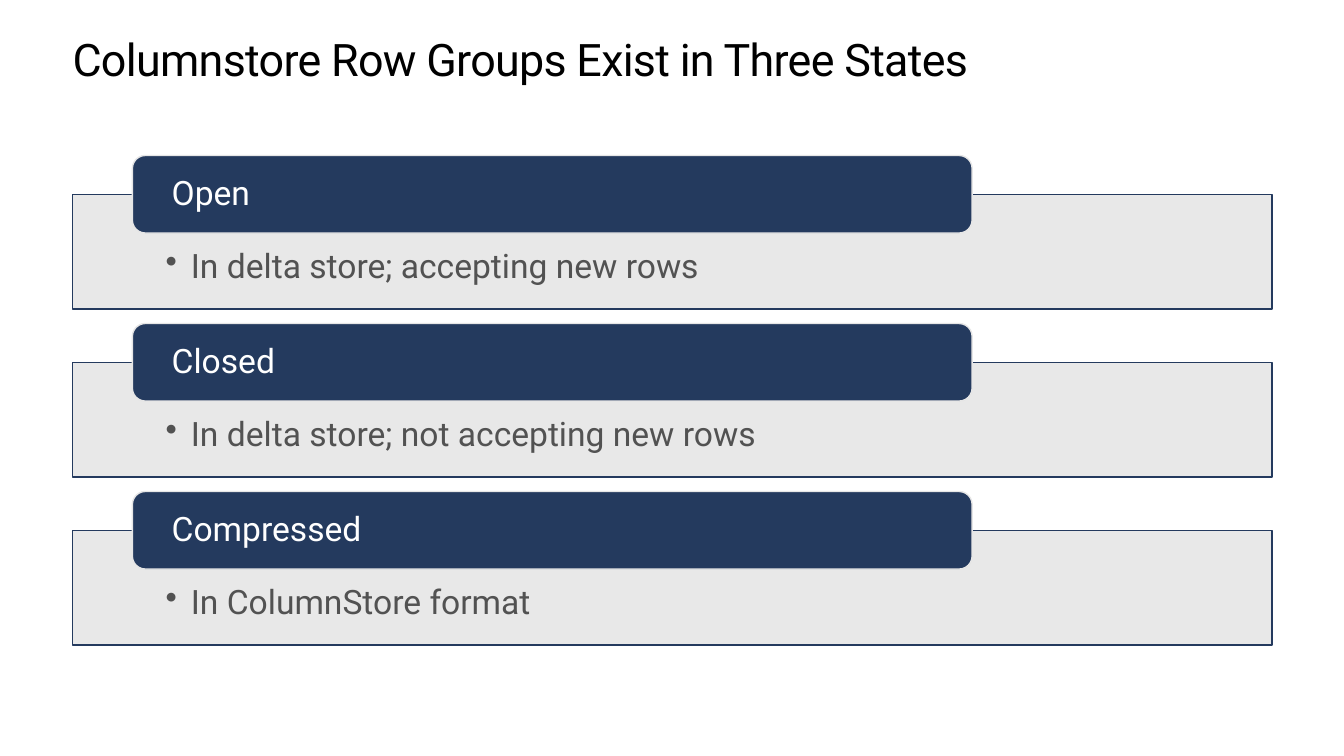
from lxml import etree
from pptx import Presentation
from pptx.dml.color import RGBColor
from pptx.enum.shapes import MSO_SHAPE
from pptx.enum.text import MSO_ANCHOR, PP_ALIGN
from pptx.oxml.ns import qn
from pptx.util import Pt

RECTANGLE, ROUNDED = MSO_SHAPE.RECTANGLE, MSO_SHAPE.ROUNDED_RECTANGLE
TOP, MIDDLE, LEFT = MSO_ANCHOR.TOP, MSO_ANCHOR.MIDDLE, PP_ALIGN.LEFT

NAVY = RGBColor(0x24, 0x3A, 0x5E)
LIGHT_GRAY = RGBColor(0xE6, 0xE6, 0xE6)
DARK_GRAY = RGBColor(0x52, 0x52, 0x52)
BLACK = RGBColor(0, 0, 0)
WHITE = RGBColor(255, 255, 255)

MARGIN, CONTENT_WIDTH = 51.84, 856.8
FIRST_PANEL_TOP, STATE_PITCH = 138.9, 120

STATES = [
    ("Open", "In delta store; accepting new rows"),
    ("Closed", "In delta store; not accepting new rows"),
    ("Compressed", "In ColumnStore format"),
]


class SlideBuilder:
    """Holds the text style and the slide being filled."""

    font_name = "Roboto"

    def __init__(self, slide):
        self.slide = slide

    def set_text(self, shape, text, size, color, insets, anchor, spacing):
        frame = shape.text_frame
        frame.word_wrap = True
        frame.vertical_anchor = anchor
        (frame.margin_left, frame.margin_top,
         frame.margin_right, frame.margin_bottom) = map(Pt, insets)
        paragraph = frame.paragraphs[0]
        paragraph.text = text
        paragraph.alignment = LEFT
        paragraph.line_spacing = spacing
        paragraph.font.name = self.font_name
        paragraph.font.size = Pt(size)
        paragraph.font.color.rgb = color
        return paragraph._p.get_or_add_pPr()

    def box(self, kind, bounds, fill, line):
        shape = self.slide.shapes.add_shape(kind, *map(Pt, bounds))
        shape.shadow.inherit = False
        shape.fill.solid()
        shape.fill.fore_color.rgb = fill
        shape.line.color.rgb = line
        shape.line.width = Pt(1)
        return shape

    def title(self, text):
        shape = self.slide.shapes.add_textbox(
            *map(Pt, (MARGIN, 25.2, CONTENT_WIDTH, 36)))
        properties = self.set_text(shape, text, 32, BLACK, (0, 0, 0, 0), TOP, Pt(36.2))
        properties.find(qn("a:defRPr")).set("spc", "-50")

    def panel(self, top, text):
        shape = self.box(RECTANGLE, (MARGIN, top, CONTENT_WIDTH, 81.9),
                         LIGHT_GRAY, NAVY)
        color = shape._element.spPr.find(qn("a:solidFill"))[0]
        etree.SubElement(color, qn("a:alpha"), val="90000")
        properties = self.set_text(shape, text, 24, DARK_GRAY,
                                   (66.5, 39.4, 66.5, 13.7), TOP, 0.9)
        # Hanging bullet
        properties.set("marL", str(Pt(18)))
        properties.set("indent", str(Pt(-18)))
        bullet = etree.Element(qn("a:buChar"), char="•")
        properties.find(qn("a:defRPr")).addprevious(bullet)

    def header(self, top, text):
        shape = self.box(ROUNDED, (94.6, top, 599.8, 55.4), NAVY, LIGHT_GRAY)
        self.set_text(shape, text, 24, WHITE, (25.4, 0, 25.4, 0), MIDDLE, 0.9)


def main():
    presentation = Presentation()
    presentation.slide_width, presentation.slide_height = Pt(960), Pt(540)
    builder = SlideBuilder(
        presentation.slides.add_slide(presentation.slide_layouts[6]))

    builder.title("Columnstore Row Groups Exist in Three States")

    # One panel with an overlapping header per state
    for index, (state, description) in enumerate(STATES):
        top = FIRST_PANEL_TOP + index * STATE_PITCH
        builder.panel(top, description)
        builder.header(top - 27.8, state)

    presentation.save("out.pptx")


if __name__ == "__main__":
    main()
